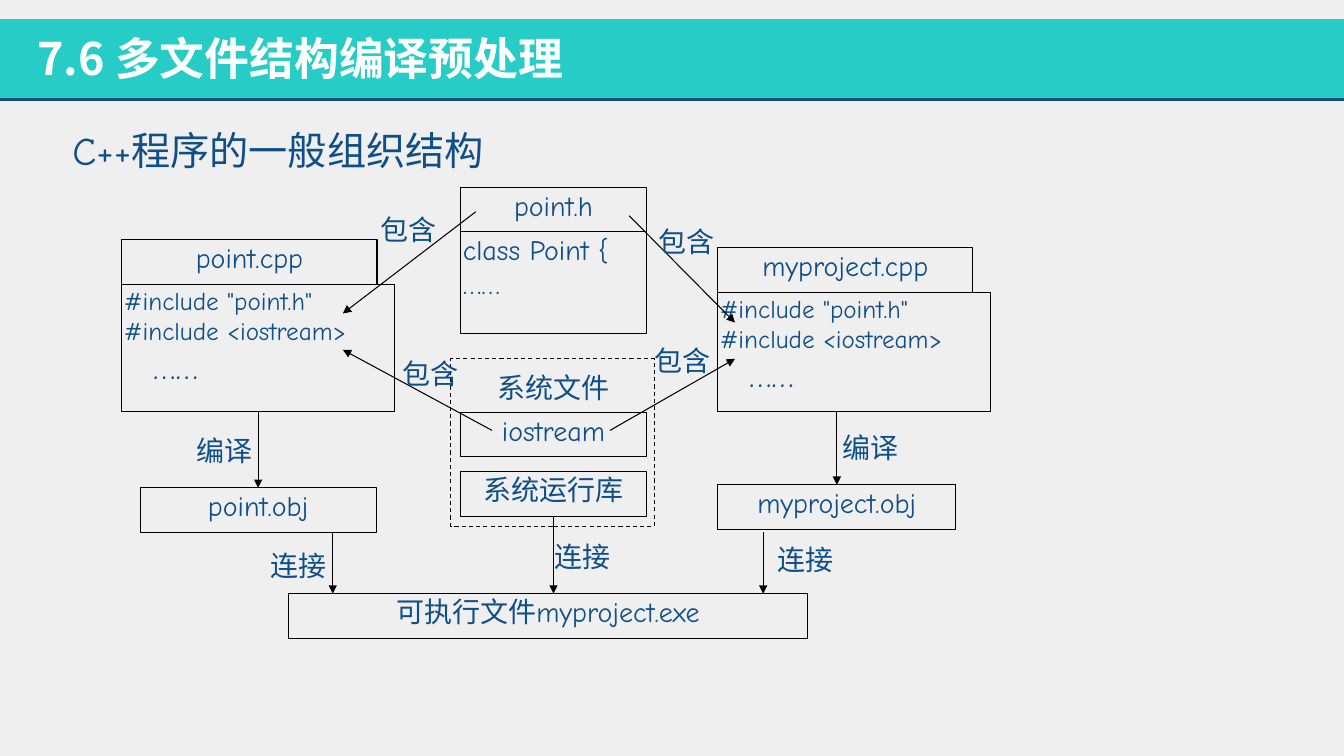
"""Build a slide on how a C++ program is organised into several files."""
import pptx
import pptx.dml.color
import pptx.enum.dml
import pptx.enum.shapes
import pptx.enum.text
import pptx.oxml
import pptx.util
from pptx.util import Inches

INK, BLACK, TEAL, NAVY, PAPER, WHITE = "104E87", "000000", "26CCC5", "104D7E", "EFEFEF", "FFFFFF"
HAND_FONT, TITLE_FONT = "Comic Neue", "Noto Sans CJK JP"
NAME_HEIGHT = 0.44
LEFT = pptx.enum.text.PP_ALIGN.LEFT
CENTER = pptx.enum.text.PP_ALIGN.CENTER
TOP, BOTTOM = 0, 2


def color(hex_text):
    """Return the colour for a hex string."""
    return pptx.dml.color.RGBColor.from_string(hex_text)


def add_xml(parent, tag, **attributes):
    """Append a drawing element with the given attributes."""
    child = pptx.oxml.parse_xml(
        f'<a:{tag} xmlns:a="http://schemas.openxmlformats.org/drawingml/2006/main"/>')
    for name, value in attributes.items():
        child.set(name, value)
    parent.append(child)


def write(shape, text, size=20, font=HAND_FONT, ink=INK, bold=False, align=CENTER,
          margins=(0.02, 0.01), wrap=True, anchor=pptx.enum.text.MSO_ANCHOR.TOP,
          last_size=None, last_indent=0):
    """Write the lines of text in a shape with one format."""
    frame = shape.text_frame
    frame.word_wrap = wrap
    frame.auto_size = pptx.enum.text.MSO_AUTO_SIZE.NONE
    frame.vertical_anchor = anchor
    frame.margin_left = frame.margin_right = Inches(margins[0])
    frame.margin_top = frame.margin_bottom = Inches(margins[1])
    frame.text = text
    for paragraph in frame.paragraphs:
        paragraph.alignment = align
        for run in paragraph.runs:
            run.font.size = pptx.util.Pt(size)
            run.font.name = font
            run.font.bold = bold
            run.font.color.rgb = color(ink)
            add_xml(run.font._element, "ea", typeface=font)
    if last_size:
        last = frame.paragraphs[-1]
        last.runs[0].font.size = pptx.util.Pt(last_size)
        last._p.get_or_add_pPr().set("indent", str(Inches(last_indent)))


def add_box(slide, left, top, width, height, text="", fill=None, line=BLACK, dashed=False, **style):
    """Add a rectangle with optional fill, outline and text."""
    shape = slide.shapes.add_shape(pptx.enum.shapes.MSO_SHAPE.RECTANGLE,
                                   Inches(left), Inches(top), Inches(width), Inches(height))
    shape.shadow.inherit = False
    if fill:
        shape.fill.solid()
        shape.fill.fore_color.rgb = color(fill)
    else:
        shape.fill.background()
    if line:
        shape.line.color.rgb = color(line)
        shape.line.width = pptx.util.Pt(0.75)
    else:
        shape.line.fill.background()
    if dashed:
        shape.line.dash_style = pptx.enum.dml.MSO_LINE.DASH
    if text:
        write(shape, text, **style)
    return shape


def add_line(slide, start, end, ink=BLACK, width=0.75, arrow=True, source=None, target=None):
    """Draw a straight line, joined to a source bottom or a target top if given."""
    connector = slide.shapes.add_connector(pptx.enum.shapes.MSO_CONNECTOR.STRAIGHT,
                                           *map(Inches, start + end))
    if source:
        connector.begin_connect(source, BOTTOM)
    if target:
        connector.end_connect(target, TOP)
    connector.line.color.rgb = color(ink)
    connector.line.width = pptx.util.Pt(width)
    if arrow:
        add_xml(connector.line._get_or_add_ln(), "tailEnd", type="triangle")
    add_xml(connector._element.spPr, "effectLst")


def add_label(slide, center, top, text):
    """Add a short caption centred on a given position."""
    width = 1.2
    label = slide.shapes.add_textbox(Inches(center - width / 2), Inches(top),
                                     Inches(width), Inches(0.35))
    write(label, text, margins=(0.02, 0))


def add_header(slide, left, top, width, height):
    """Place the title band, its rule and the subtitle."""
    add_box(slide, left, top, width, height, fill=TEAL, line=None)
    bottom = top + height
    add_line(slide, (left, bottom), (left + width, bottom), ink=NAVY, width=2, arrow=False)
    title = slide.shapes.title
    title.left, title.top = Inches(left + 0.27), Inches(top + 0.06)
    title.width, title.height = Inches(8.78), Inches(0.64)
    write(title, "7.6 多文件结构编译预处理", size=32, font=TITLE_FONT, ink=WHITE, bold=True,
          align=LEFT, margins=(0.1, 0.05), anchor=pptx.enum.text.MSO_ANCHOR.MIDDLE)
    slide.shapes._spTree.append(title._element)
    subtitle = slide.shapes.add_textbox(Inches(left + 0.62), Inches(bottom + 0.21),
                                        Inches(5.62), Inches(0.57))
    write(subtitle, "C++程序的一般组织结构", size=28, align=LEFT, margins=(0.1, 0.05))


def add_file(slide, left, top, width, height, name, content, name_width=None, **style):
    """Place a file name above its content and return the content box."""
    body = add_box(slide, left, top + NAME_HEIGHT, width, height - NAME_HEIGHT, content,
                   align=LEFT, **style)
    add_box(slide, left, top, name_width or width, NAME_HEIGHT, name)
    return body


def add_system_files(slide, left, top, width, height):
    """Place the dashed system group and return its library box."""
    add_box(slide, left, top, width, height, dashed=True)
    add_label(slide, left + width / 2 + 0.01, top + 0.12, "系统文件")
    add_box(slide, left + 0.1, top + 0.53, 1.84, NAME_HEIGHT, "iostream")
    return add_box(slide, left + 0.1, top + 1.12, 1.84, NAME_HEIGHT, "系统运行库")


def add_diagram(slide, left, top):
    """Place the files, their links and the captions."""
    def at(x, y):
        return left + x, top + y

    include_text = '#include "point.h"\n#include <iostream>\n……'
    include_style = {"size": 18, "last_size": 24, "last_indent": 0.29, "name_width": 2.53}
    library = add_system_files(slide, *at(3.26, 1.7), 2.02, 1.66)
    point_source = add_file(slide, *at(0, 0.52), 2.7, 1.7, "point.cpp",
                            include_text, **include_style)
    add_file(slide, *at(5.91, 0.6), 2.7, 1.62, "myproject.cpp", include_text, **include_style)
    add_file(slide, *at(3.36, 0), 1.84, 1.45, "point.h", "class Point {\n……")
    point_object = add_box(slide, *at(0.18, 2.98), 2.34, NAME_HEIGHT, "point.obj")
    project_object = add_box(slide, *at(5.91, 2.95), 2.36, NAME_HEIGHT, "myproject.obj")
    add_box(slide, *at(1.65, 4.03), 5.15, NAME_HEIGHT, "可执行文件myproject.exe")

    for start, end, source, target in (
            ((5.03, 0.28), (6.08, 1.34), None, None),
            ((3.51, 0.24), (2.19, 1.25), None, None),
            ((3.67, 2.41), (2.19, 1.61), None, None),
            ((4.84, 2.41), (6.08, 1.7), None, None),
            ((1.35, 2.22), (1.35, 2.98), point_source, point_object),
            ((7.09, 2.22), (7.09, 2.95), None, project_object),
            ((2.09, 3.42), (2.09, 4.03), None, None),
            ((6.36, 3.42), (6.36, 4.03), None, None),
            ((4.28, 3.26), (4.28, 4.03), library, None)):
        add_line(slide, at(*start), at(*end), source=source, target=target)

    for caption, places in (
            ("包含", ((2.84, 0.25), (5.6, 0.37), (5.56, 1.55), (3.06, 1.68))),
            ("编译", ((1.02, 2.44), (7.42, 2.41))),
            ("连接", ((1.75, 3.58), (4.57, 3.49), (6.78, 3.52)))):
        for place in places:
            add_label(slide, *at(*place), caption)


def main():
    """Build and save the presentation."""
    presentation = pptx.Presentation()
    presentation.slide_width, presentation.slide_height = Inches(13.33), Inches(7.5)
    slide = presentation.slides.add_slide(presentation.slide_layouts[5])
    slide.background.fill.solid()
    slide.background.fill.fore_color.rgb = color(PAPER)
    add_header(slide, 0, 0.19, 13.33, 0.8)
    add_diagram(slide, 1.21, 1.86)
    presentation.save("out.pptx")


if __name__ == "__main__":
    main()
